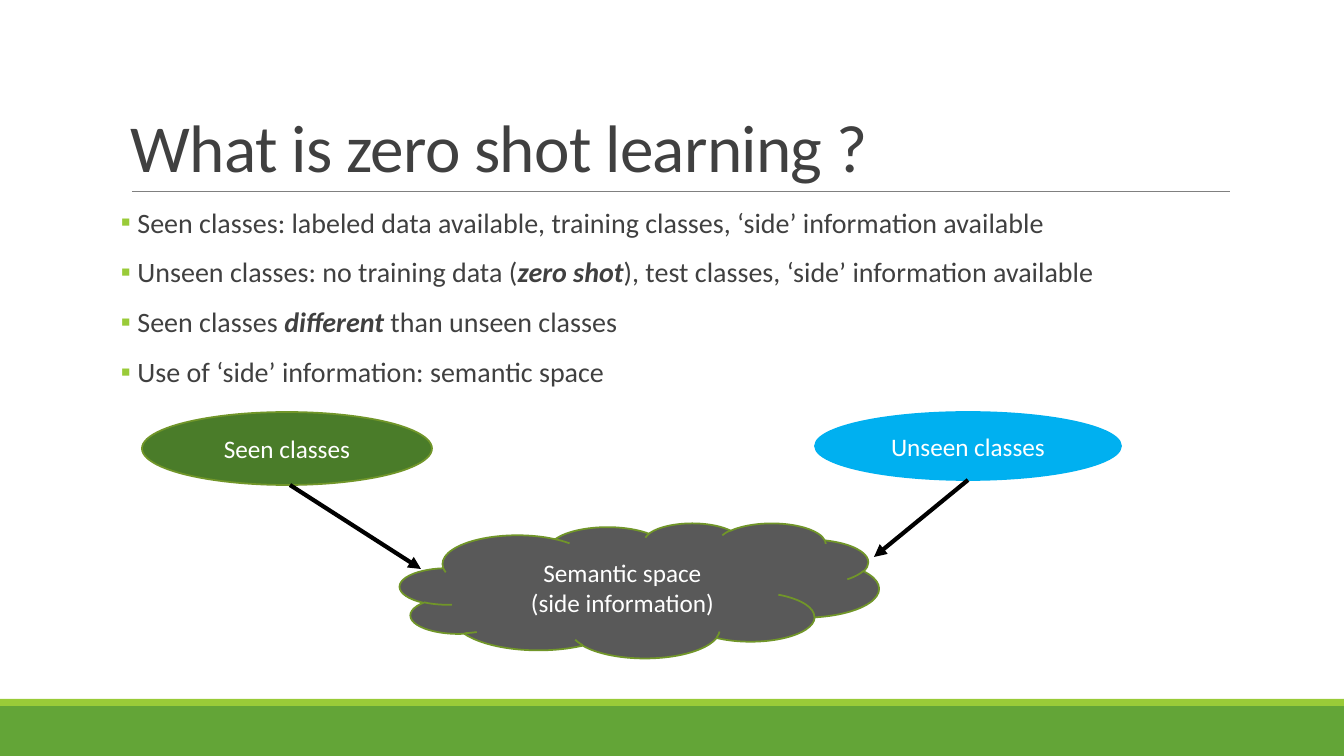
"""Build the slide that explains zero shot learning with seen and unseen classes."""
from lxml import etree
from pptx import Presentation
from pptx.dml.color import RGBColor
from pptx.enum.shapes import MSO_CONNECTOR, MSO_SHAPE
from pptx.enum.text import MSO_ANCHOR, PP_ALIGN
from pptx.oxml.ns import qn
from pptx.util import Emu, Pt

RECTANGLE, OVAL, CLOUD = MSO_SHAPE.RECTANGLE, MSO_SHAPE.OVAL, MSO_SHAPE.CLOUD
STRAIGHT = MSO_CONNECTOR.STRAIGHT
TOP, MIDDLE, BOTTOM = MSO_ANCHOR.TOP, MSO_ANCHOR.MIDDLE, MSO_ANCHOR.BOTTOM
CENTER = PP_ALIGN.CENTER
PX = 12192000 / 1344
TEXT_COLOR = "404040"
BULLET_INDENT = 91440


def px(*lengths):
    return [Emu(round(length * PX)) for length in lengths]


def color(target, hex_value):
    if hasattr(target, "solid"):
        target.solid()
        target = target.fore_color
    target.rgb = RGBColor.from_string(hex_value)


deck = Presentation()
deck.slide_width, deck.slide_height = px(1344, 756)
page = deck.slides.add_slide(deck.slide_layouts[6])

title_spans = [[("What is zero shot learning ?", False)]]
bullet_spans = [
    [(" Seen classes: labeled data available, training classes, ‘side’ information available", False)],
    [(" Unseen classes: no training data (", False), ("zero shot", True),
     ("), test classes, ‘side’ information available", False)],
    [(" Seen classes ", False), ("different", True), (" than unseen classes", False)],
    [(" Use of ‘side’ information: semantic space", False)],
]
text_blocks = [
    ((121, 31, 1109, 160), title_spans, 48, False,
     {"word_wrap": True, "vertical_anchor": BOTTOM},
     {"line_spacing": 0.85}),
    ((121, 204, 1109, 444), bullet_spans, 20, True,
     {"word_wrap": True, "vertical_anchor": TOP, "margin_left": 0, "margin_right": 0},
     {"line_spacing": 0.9, "space_before": Pt(12), "space_after": Pt(2)}),
]
for place, paragraphs, size, bulleted, frame_format, para_format in text_blocks:
    box = page.shapes.add_textbox(*px(*place))
    frame = box.text_frame
    for name, value in frame_format.items():
        setattr(frame, name, value)
    for index, spans in enumerate(paragraphs):
        para = frame.add_paragraph() if index else frame.paragraphs[0]
        for name, value in para_format.items():
            setattr(para, name, value)
        for text, strong in spans:
            span = para.add_run()
            span.text = text
            span_format = {"name": "Calibri", "size": Pt(size), "bold": strong, "italic": strong}
            for name, value in span_format.items():
                setattr(span.font, name, value)
            color(span.font.fill, TEXT_COLOR)
            if not bulleted:
                span.font._element.set("spc", "-50")
        if bulleted:
            properties = para._p.get_or_add_pPr()
            properties.set("marL", str(BULLET_INDENT))
            properties.set("indent", str(-BULLET_INDENT))
            bullet_color = etree.SubElement(properties, qn("a:buClr"))
            etree.SubElement(bullet_color, qn("a:srgbClr"), val="99CB38")
            etree.SubElement(properties, qn("a:buFont"), typeface="Calibri")
            etree.SubElement(properties, qn("a:buChar"), char="▪")

shapes = [
    (RECTANGLE, (0, 706, 1344, 50), "63A537", None, []),
    (RECTANGLE, (0, 699, 1344, 7), "99CB38", None, []),
    (OVAL, (142, 412, 290, 73), "4A7C29", "719629", ["Seen classes"]),
    (OVAL, (815, 412, 306, 68), "00B0F0", "00B0F0", ["Unseen classes"]),
    (CLOUD, (400, 523, 479, 135), "595959", "719629", ["Semantic space", "(side information)"]),
]
for kind, place, fill, outline, lines in shapes:
    shape = page.shapes.add_shape(kind, *px(*place))
    shape.shadow.inherit = False
    color(shape.fill, fill)
    if outline:
        color(shape.line.fill, outline)
        shape.line.width = Pt(1.25)
    else:
        shape.line.fill.background()
    frame = shape.text_frame
    frame.word_wrap, frame.vertical_anchor = True, MIDDLE
    for index, text in enumerate(lines):
        para = frame.add_paragraph() if index else frame.paragraphs[0]
        para.alignment = CENTER
        span = para.add_run()
        span.text = text
        span.font.name, span.font.size = "Calibri", Pt(18)
        color(span.font.fill, "FFFFFF")

connectors = [
    ((132, 191, 1230, 191), "808080", 0.5, False),
    ((290, 485, 421, 569), "000000", 3, True),
    ((968, 480, 874, 557), "000000", 3, True),
]
for ends, line_color, width, arrow in connectors:
    connector = page.shapes.add_connector(STRAIGHT, *px(*ends))
    color(connector.line.fill, line_color)
    connector.line.width = Pt(width)
    if arrow:
        etree.SubElement(connector.line._get_or_add_ln(), qn("a:tailEnd"), type="triangle")
    etree.SubElement(connector._element.spPr, qn("a:effectLst"))

deck.save("out.pptx")
